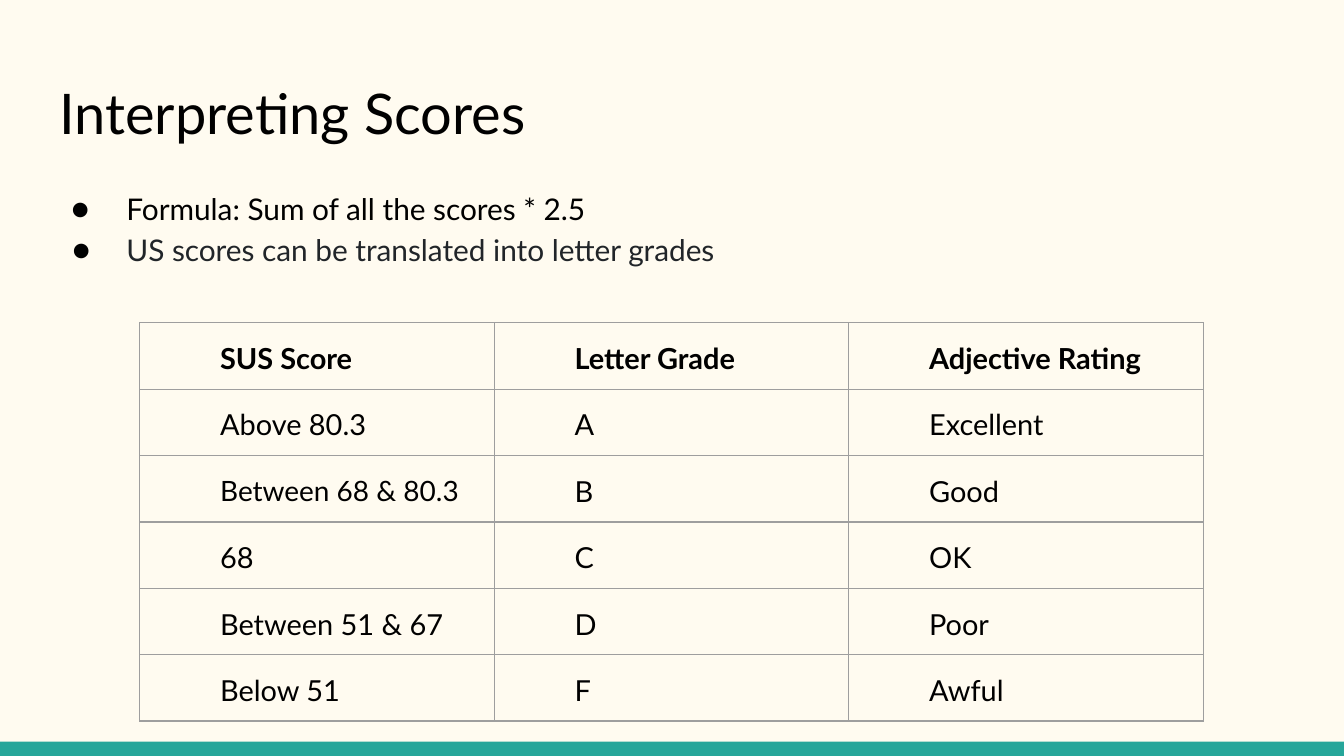
from dataclasses import dataclass

from lxml.etree import SubElement
from pptx import Presentation
from pptx.dml.color import RGBColor as Color
from pptx.enum.shapes import MSO_SHAPE as Shape
from pptx.enum.text import MSO_ANCHOR as Anchor, PP_ALIGN as Align
from pptx.oxml.ns import qn
from pptx.util import Cm, Pt


@dataclass(frozen=True)
class Theme:
    font: str = "Lato"
    background: str = "FFFBF0"
    accent: str = "26A69A"
    text: str = "000000"
    soft_text: str = "212529"
    border: str = "9E9E9E"
    title_size: float = 30
    body_size: float = 16
    table_size: float = 15.5
    small_size: float = 15


theme = Theme()


def write(paragraph, text, size, color=theme.text, bold=False):
    run = paragraph.add_run()
    run.text = text
    formats = {"name": theme.font, "size": Pt(size), "bold": bold}
    for name, value in formats.items():
        setattr(run.font, name, value)
    run.font.color.rgb = Color.from_string(color)


def indent(paragraph, left, first):
    paragraph.line_spacing = 1.15
    properties = paragraph._p.get_or_add_pPr()
    properties.set("marL", str(Cm(left)))
    properties.set("indent", str(Cm(first)))
    return properties


presentation = Presentation()
presentation.slide_width = Cm(25.4)
presentation.slide_height = Cm(14.29)
slide = presentation.slides.add_slide(presentation.slide_layouts[5])
slide.background.fill.solid()
slide.background.fill.fore_color.rgb = Color.from_string(theme.background)

bar = slide.shapes.add_shape(Shape.RECTANGLE, 0, Cm(14.02), Cm(25.4), Cm(0.27))
bar.shadow.inherit = False
bar.fill.solid()
bar.fill.fore_color.rgb = Color.from_string(theme.accent)
bar.line.fill.background()

title = slide.shapes.title
body = slide.shapes.add_textbox(Cm(0.87), Cm(3.25), Cm(23.67), Cm(9.45))
placement = {"left": Cm(0.87), "top": Cm(1.24), "width": Cm(23.67), "height": Cm(1.7)}
for name, value in placement.items():
    setattr(title, name, value)
frame_format = {"word_wrap": True, "vertical_anchor": Anchor.TOP}
margins = ("margin_left", "margin_top", "margin_right", "margin_bottom")
frame_format.update({margin: Cm(0.25) for margin in margins})
for frame in (title.text_frame, body.text_frame):
    for name, value in frame_format.items():
        setattr(frame, name, value)

heading = title.text_frame.paragraphs[0]
heading.alignment = Align.LEFT
write(heading, "Interpreting Scores", theme.title_size)

bullets = [
    ("Formula: Sum of all the scores * 2.5", theme.text, -1.04),
    ("US scores can be translated into letter grades", theme.soft_text, -1.02),
]
for index, (text, color, hanging) in enumerate(bullets):
    frame = body.text_frame
    paragraph = frame.add_paragraph() if index else frame.paragraphs[0]
    properties = indent(paragraph, 1.27, hanging)
    bullet_color = SubElement(properties, qn("a:buClr"))
    SubElement(bullet_color, qn("a:srgbClr"), val=theme.text)
    SubElement(properties, qn("a:buFont"), typeface=theme.font)
    SubElement(properties, qn("a:buChar"), char="●")
    write(paragraph, text, theme.body_size, color)

grades = [
    ("SUS Score", "Letter Grade", "Adjective Rating"),
    ("Above 80.3", "A", "Excellent"),
    ("Between 68 & 80.3", "B", "Good"),
    ("68", "C", "OK"),
    ("Between 51 & 67", "D", "Poor"),
    ("Below 51", "F", "Awful"),
]
table = slide.shapes.add_table(
    len(grades), len(grades[0]), Cm(2.64), Cm(6.1), Cm(20.1), Cm(7.5)
).table
table.first_row = False
table.horz_banding = False
for column in table.columns:
    column.width = Cm(6.7)
for row_index, grade in enumerate(grades):
    table.rows[row_index].height = Cm(1.25)
    for column_index, text in enumerate(grade):
        cell = table.cell(row_index, column_index)
        for margin in margins:
            setattr(cell, margin, Cm(0.25))
        for side in ("a:lnL", "a:lnR", "a:lnT", "a:lnB"):
            line = SubElement(cell._tc.get_or_add_tcPr(), qn(side), w=str(Pt(0.75)))
            fill = SubElement(line, qn("a:solidFill"))
            SubElement(fill, qn("a:srgbClr"), val=theme.border)
        cell.fill.background()
        paragraph = cell.text_frame.paragraphs[0]
        is_letter = row_index > 0 and column_index == 1
        paragraph.alignment = Align.LEFT if is_letter else Align.JUSTIFY
        indent(paragraph, 1.27, 0)
        size = theme.small_size if text == "Between 68 & 80.3" else theme.table_size
        write(paragraph, text, size, bold=row_index == 0)

presentation.save("out.pptx")
